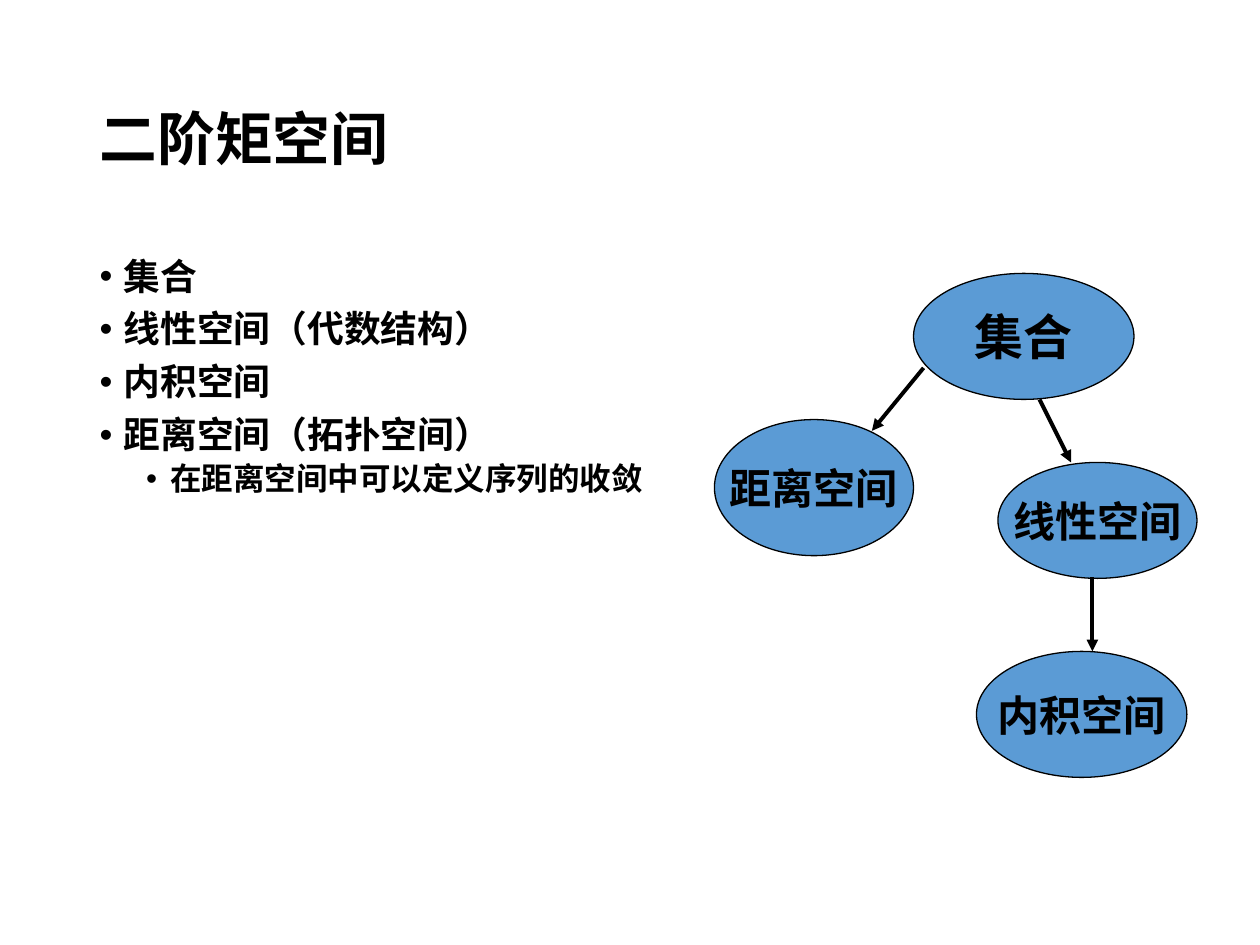
from dataclasses import dataclass

from lxml import etree
from pptx import Presentation
from pptx.dml.color import RGBColor
from pptx.enum.shapes import MSO_CONNECTOR, MSO_SHAPE
from pptx.enum.text import MSO_ANCHOR, MSO_AUTO_SIZE, PP_ALIGN
from pptx.oxml.ns import qn
from pptx.slide import Slide
from pptx.util import Inches, Pt

BLACK = RGBColor(0x00, 0x00, 0x00)
BLUE = RGBColor(0x5B, 0x9B, 0xD5)
LEFT, CENTER = PP_ALIGN.LEFT, PP_ALIGN.CENTER
TOP, MIDDLE = MSO_ANCHOR.TOP, MSO_ANCHOR.MIDDLE
FIXED = MSO_AUTO_SIZE.NONE
OVAL = MSO_SHAPE.OVAL
STRAIGHT = MSO_CONNECTOR.STRAIGHT

ITEMS = [
    ("集合", 0),
    ("线性空间（代数结构）", 0),
    ("内积空间", 0),
    ("距离空间（拓扑空间）", 0),
    ("在距离空间中可以定义序列的收敛", 1),
]
NODES = [
    ("集合", (7.25, 2.17, 1.75, 1), 28),
    ("距离空间", (5.67, 3.33, 1.58, 1.08), 24),
    ("线性空间", (7.92, 3.67, 1.58, 0.92), 24),
    ("内积空间", (7.75, 5.17, 1.67, 1), 24),
]
ARROWS = [
    (7.33, 2.92, 6.92, 3.42),
    (8.25, 3.17, 8.5, 3.67),
    (8.67, 4.58, 8.67, 5.17),
]


def write(par, text, font, size, align=LEFT, line=1.0, before=0):
    par.text = text
    par.alignment = align
    par.line_spacing = line
    par.space_before = Pt(before)
    for run in par.runs:
        run.font.name = font
        run.font.size = Pt(size)
        run.font.bold = True
        run.font.color.rgb = BLACK


def place(shape, box):
    shape.left, shape.top, shape.width, shape.height = map(Inches, box)


@dataclass
class Page:
    slide: Slide
    font: str = "Calibri"
    label: str = "Arial"
    fill: RGBColor = BLUE
    ink: RGBColor = BLACK

    def title(self, text, box):
        shape = self.slide.shapes.title
        place(shape, box)
        frame = shape.text_frame
        frame.auto_size = FIXED
        frame.vertical_anchor = MIDDLE
        write(frame.paragraphs[0], text, self.font, 33, line=0.9)

    def bullets(self, items, box):
        shape = self.slide.placeholders[1]
        place(shape, box)
        frame = shape.text_frame
        frame.auto_size = FIXED
        frame.vertical_anchor = TOP
        for i, (text, level) in enumerate(items):
            par = frame.add_paragraph() if i else frame.paragraphs[0]
            par.level = level
            size, gap, indent = ((21, 7.5, 0.19), (18, 3.8, 0.56))[level]
            write(par, text, self.font, size, line=0.9, before=gap if i else 0)
            props = par._p.get_or_add_pPr()
            props.set("marL", str(Inches(indent)))
            props.set("indent", str(Inches(-0.19)))
            etree.SubElement(props, qn("a:buFont")).set("typeface", "Arial")
            etree.SubElement(props, qn("a:buChar")).set("char", "•")

    def node(self, text, box, size):
        shape = self.slide.shapes.add_shape(OVAL, *map(Inches, box))
        shape.shadow.inherit = False
        shape.fill.solid()
        shape.fill.fore_color.rgb = self.fill
        shape.line.color.rgb = self.ink
        shape.line.width = Pt(0.75)
        frame = shape.text_frame
        frame.word_wrap = False
        frame.vertical_anchor = MIDDLE
        write(frame.paragraphs[0], text, self.label, size, align=CENTER)

    def arrow(self, ends):
        link = self.slide.shapes.add_connector(STRAIGHT, *map(Inches, ends))
        link.line.color.rgb = self.ink
        link.line.width = Pt(2.25)
        tail = etree.SubElement(link.line._get_or_add_ln(), qn("a:tailEnd"))
        tail.set("type", "triangle")
        etree.SubElement(link._element.spPr, qn("a:effectLst"))


def main():
    deck = Presentation()
    deck.slide_width, deck.slide_height = Inches(10), Inches(7.5)
    page = Page(deck.slides.add_slide(deck.slide_layouts[1]))
    page.title("二阶矩空间", (0.69, 0.4, 8.62, 1.45))
    page.bullets(ITEMS, (0.69, 2, 8.62, 4.76))
    for text, box, size in NODES:
        page.node(text, box, size)
    for ends in ARROWS:
        page.arrow(ends)
    deck.save("out.pptx")


if __name__ == "__main__":
    main()
